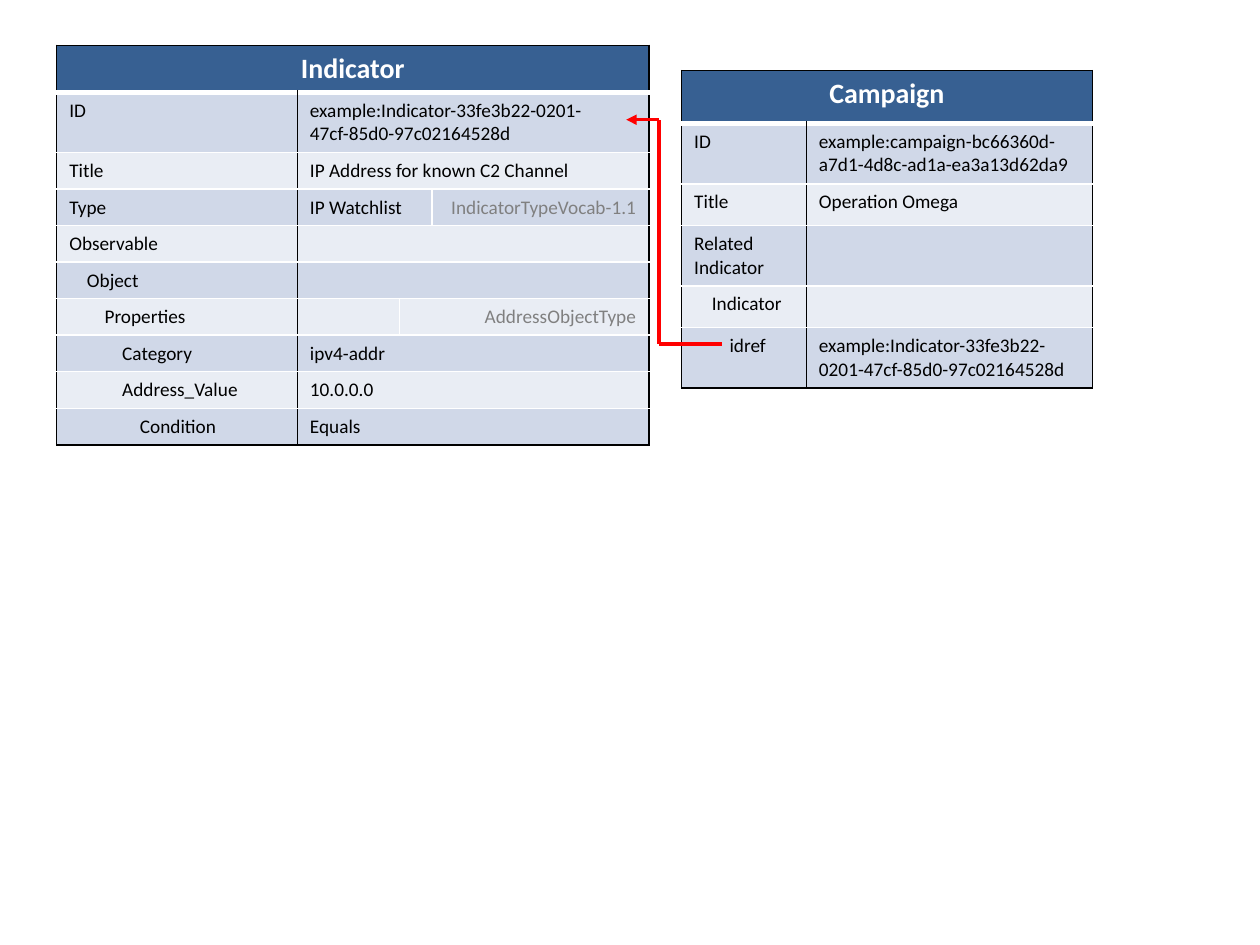
import pptx
import pptx.dml.color
import pptx.enum.shapes
import pptx.enum.text
import pptx.util
from lxml import etree
from pptx.oxml.ns import qn

FONT = "Calibri"
BLACK, WHITE, GREY, RED = "000000", "FFFFFF", "808080", "FF0000"
HEADER_FILL, BANDS = "376092", ("D0D8E8", "E9EDF4")
MARGIN, INDENT = 0.1, 0.14

# Each row: indent level, label, values as (text, columns spanned).
# A second value is a type note.
TABLES = [
    {
        "title": "Indicator",
        "position": (0.45, 0.36),
        "columns": [1.91, 0.81, 0.26, 1.72],
        "heights": [0.37, 0.48] + [0.29] * 8,
        "rows": [
            (0, "ID", [("example:Indicator-33fe3b22-0201-47cf-85d0-97c02164528d", 3)]),
            (0, "Title", [("IP Address for known C2 Channel", 3)]),
            (0, "Type", [("IP Watchlist", 2), ("IndicatorTypeVocab-1.1", 1)]),
            (0, "Observable", [("", 3)]),
            (1, "Object", [("", 3)]),
            (2, "Properties", [("", 1), ("AddressObjectType", 2)]),
            (3, "Category", [("ipv4-addr", 3)]),
            (3, "Address_Value", [("10.0.0.0", 3)]),
            (4, "Condition", [("Equals", 3)]),
        ],
    },
    {
        "title": "Campaign",
        "position": (5.41, 0.56),
        "columns": [0.99, 2.27],
        "heights": [0.42, 0.48, 0.33, 0.48, 0.33, 0.48],
        "rows": [
            (0, "ID", [("example:campaign-bc66360d-a7d1-4d8c-ad1a-ea3a13d62da9", 1)]),
            (0, "Title", [("Operation Omega", 1)]),
            (0, "Related Indicator", [("", 1)]),
            (1, "Indicator", [("", 1)]),
            (2, "idref", [("example:Indicator-33fe3b22-0201-47cf-85d0-97c02164528d", 1)]),
        ],
    },
]
# From the campaign's idref to the indicator's ID
REFERENCE_ROUTE = [(5.73, 2.73), (5.23, 2.73), (5.23, 0.95), (4.97, 0.95)]

inches = pptx.util.Inches


def colour(value):
    return pptx.dml.color.RGBColor.from_string(value)


def write(cell, text, size=11, color=BLACK, bold=False, align="LEFT", level=0):
    cell.margin_left = inches(MARGIN + INDENT * level)
    paragraph = cell.text_frame.paragraphs[0]
    paragraph.alignment = getattr(pptx.enum.text.PP_ALIGN, align)
    if not text:
        # Keeps an empty cell from growing to the default text size
        etree.SubElement(paragraph._p, qn("a:endParaRPr"), sz=str(size * 100))
        return
    run = paragraph.add_run()
    run.text = text
    run.font.name = FONT
    run.font.size = pptx.util.Pt(size)
    run.font.bold = bold
    run.font.color.rgb = colour(color)


def set_borders(cell, borders):
    """Borders map a side (L, R, T, B) to its colour and width in points."""
    properties = cell._tc.get_or_add_tcPr()
    for side in "LRTB":
        if side in borders:
            color, width = borders[side]
            line = etree.SubElement(properties, qn(f"a:ln{side}"), w=str(pptx.util.Pt(width)))
            fill = etree.SubElement(line, qn("a:solidFill"))
            etree.SubElement(fill, qn("a:srgbClr"), val=color)


def fill_span(table, row, column, span, text, fill, borders, **text_format):
    """Merge the spanned cells of one row and give them text, fill and borders."""
    cells = [table.cell(row, column + offset) for offset in range(span)]
    if span > 1:
        cells[0].merge(cells[-1])
    for cell in cells:
        set_borders(cell, borders)
        cell.fill.solid()
        cell.fill.fore_color.rgb = colour(fill)
    write(cells[0], text, **text_format)


def add_record(slide, record):
    columns, heights, rows = record["columns"], record["heights"], record["rows"]
    left, top = record["position"]
    frame = slide.shapes.add_table(
        len(heights), len(columns), inches(left), inches(top),
        inches(sum(columns)), inches(sum(heights)))
    table = frame.table
    for column, width in zip(table.columns, columns):
        column.width = inches(width)
    for row, height in zip(table.rows, heights):
        row.height = inches(height)

    thin, rule, heavy = (BLACK, 1), (WHITE, 1), (WHITE, 3)
    fill_span(table, 0, 0, len(columns), record["title"], HEADER_FILL,
              {"L": thin, "R": thin, "T": thin, "B": heavy},
              size=16, color=WHITE, bold=True, align="CENTER")
    for index, (level, label, values) in enumerate(rows, start=1):
        fill = BANDS[(index - 1) % 2]
        edges = {"T": heavy if index == 1 else rule,
                 "B": thin if index == len(rows) else rule}
        fill_span(table, index, 0, 1, label, fill,
                  {**edges, "L": thin, "R": thin}, level=level)
        column = 1
        for text, span in values:
            is_note = column > 1
            borders = dict(edges)
            if not is_note:
                borders["L"] = thin
            if column + span == len(columns):
                borders["R"] = thin
            fill_span(table, index, column, span, text, fill, borders,
                      color=GREY if is_note else BLACK,
                      align="RIGHT" if is_note else "LEFT")
            column += span


def add_line(slide, start, end, arrow):
    connector = slide.shapes.add_connector(
        pptx.enum.shapes.MSO_CONNECTOR.STRAIGHT, *map(inches, start + end))
    connector.line.color.rgb = colour(RED)
    connector.line.width = pptx.util.Pt(2)
    if arrow:
        etree.SubElement(connector.line._get_or_add_ln(), qn("a:tailEnd"), type="triangle")
    etree.SubElement(connector._element.spPr, qn("a:effectLst"))


def main():
    presentation = pptx.Presentation()
    presentation.slide_width, presentation.slide_height = inches(10), inches(7.5)
    slide = presentation.slides.add_slide(presentation.slide_layouts[6])
    for record in TABLES:
        add_record(slide, record)
    for start, end in zip(REFERENCE_ROUTE, REFERENCE_ROUTE[1:]):
        add_line(slide, start, end, arrow=end == REFERENCE_ROUTE[-1])
    presentation.save("out.pptx")


if __name__ == "__main__":
    main()
